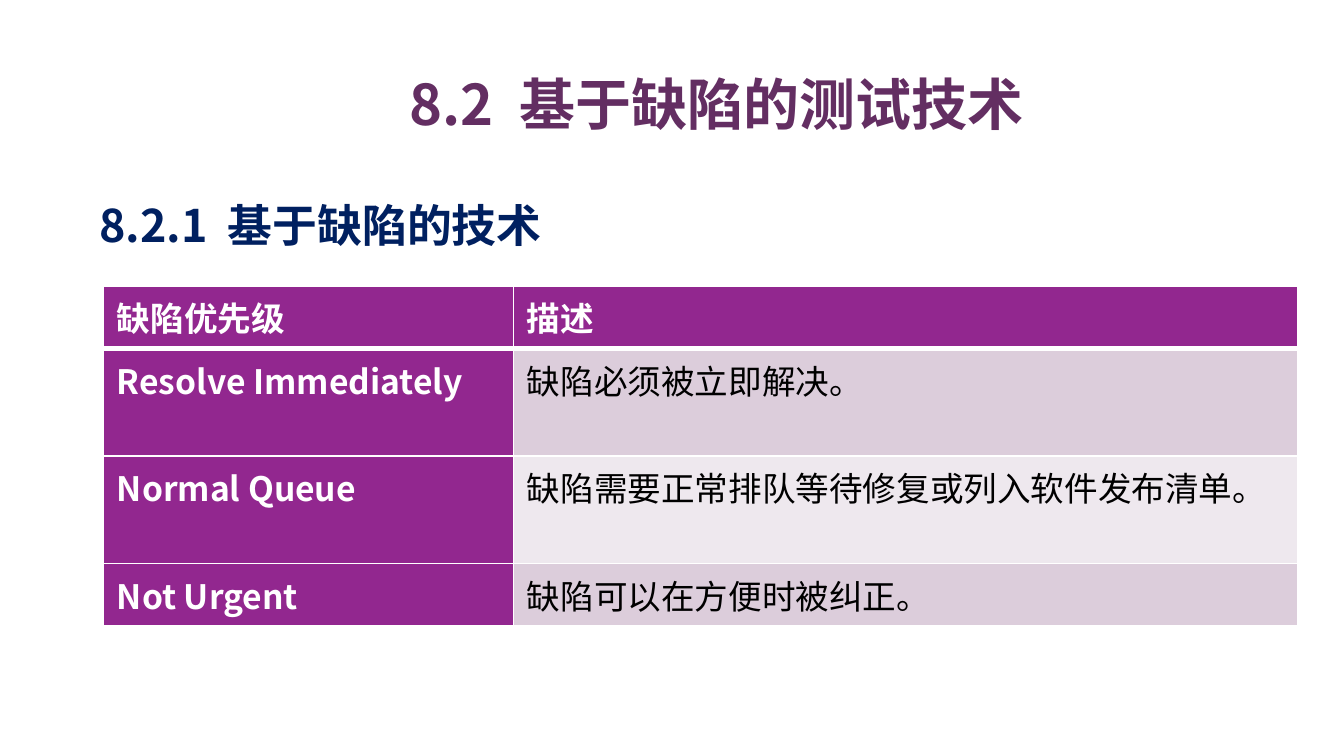
import pptx
import pptx.util
import pptx.dml.color
import pptx.enum.text
import pptx.oxml
import pptx.oxml.ns
from lxml import etree

Inches, Pt = pptx.util.Inches, pptx.util.Pt
RGBColor = pptx.dml.color.RGBColor
Align = pptx.enum.text.PP_ALIGN
Anchor = pptx.enum.text.MSO_ANCHOR
Fit = pptx.enum.text.MSO_AUTO_SIZE
qn = pptx.oxml.ns.qn

FONT = "Noto Sans CJK SC"
WHITE = RGBColor(0xFF, 0xFF, 0xFF)
BLACK = RGBColor(0, 0, 0)
PLUM = RGBColor(0x63, 0x2E, 0x62)
NAVY = RGBColor(0x00, 0x20, 0x60)
PURPLE = RGBColor(0x92, 0x27, 0x8F)
BANDS = [RGBColor(0xDC, 0xCD, 0xDB), RGBColor(0xEE, 0xE8, 0xEE)]

ROWS = [
    ("缺陷优先级", "描述"),
    ("Resolve Immediately", "缺陷必须被立即解决。"),
    ("Normal Queue", "缺陷需要正常排队等待修复或列入软件发布清单。"),
    ("Not Urgent", "缺陷可以在方便时被纠正。"),
]


def write(frame, text, size=18, color=BLACK, bold=False,
          align=Align.JUSTIFY, space=None, indent=0):
    para = frame.paragraphs[0]
    para.alignment = align
    para.line_spacing = space
    if indent:
        para._p.get_or_add_pPr().set("indent", str(Inches(indent)))
    run = para.add_run()
    run.text = text
    font = run.font
    font.name, font.size, font.bold = FONT, Pt(size), bold
    font.color.rgb = color
    etree.SubElement(run._r.get_or_add_rPr(), qn("a:ea"), typeface=FONT)


def border(cell, **widths):
    props = cell._tc.get_or_add_tcPr()
    for spot, side in enumerate("LRTB"):
        line = etree.Element(qn("a:ln" + side), w=str(Pt(widths.get(side, 1))))
        fill = etree.SubElement(line, qn("a:solidFill"))
        etree.SubElement(fill, qn("a:srgbClr"), val=str(WHITE))
        props.insert(spot, line)


class Deck:
    """Holds the slide style and the current slide."""

    def __init__(self):
        self.file = pptx.Presentation()
        self.file.slide_width = Inches(10)
        self.file.slide_height = Inches(10) * 9 // 16
        self.slide = self.file.slides.add_slide(self.file.slide_layouts[5])

    def title(self, text, left, top, width, height):
        shape = self.slide.shapes.title
        shape.left, shape.top = Inches(left), Inches(top)
        shape.width, shape.height = Inches(width), Inches(height)
        frame = shape.text_frame
        frame.word_wrap = True
        frame.vertical_anchor = Anchor.MIDDLE
        write(frame, text, size=30, color=PLUM, bold=True, align=Align.CENTER)

    def heading(self, text, left, top, width, height):
        box = self.slide.shapes.add_textbox(
            Inches(left), Inches(top), Inches(width), Inches(height))
        frame = box.text_frame
        frame.word_wrap = True
        frame.auto_size = Fit.SHAPE_TO_FIT_TEXT
        write(frame, text, size=24, color=NAVY, bold=True, space=1.5, indent=0.29)

    def table(self, rows, left, top, widths, heights):
        grid = self.slide.shapes.add_table(
            len(rows), len(widths), Inches(left), Inches(top),
            Inches(sum(widths)), Inches(sum(heights))).table
        for col, width in zip(grid.columns, widths):
            col.width = Inches(width)
        for row, height in zip(grid.rows, heights):
            row.height = Inches(height)
        for r, row in enumerate(rows):
            for c, text in enumerate(row):
                cell = grid.cell(r, c)
                head = r == 0 or c == 0
                cell.fill.solid()
                cell.fill.fore_color.rgb = PURPLE if head else BANDS[(r - 1) % 2]
                border(cell, T=3 if r == 1 else 1, B=3 if r == 0 else 1)
                write(cell.text_frame, text, bold=head,
                      color=WHITE if head else BLACK)

    def save(self):
        self.file.save("out.pptx")


def main():
    deck = Deck()
    deck.title("8.2  基于缺陷的测试技术", 2.54, 0.45, 5.58, 0.63)
    deck.table(ROWS, 0.77, 2.13, [3.05, 5.84], [0.45, 0.8, 0.8, 0.45])
    deck.heading("8.2.1  基于缺陷的技术", 0.35, 1.22, 5, 0.64)
    deck.save()


if __name__ == "__main__":
    main()
